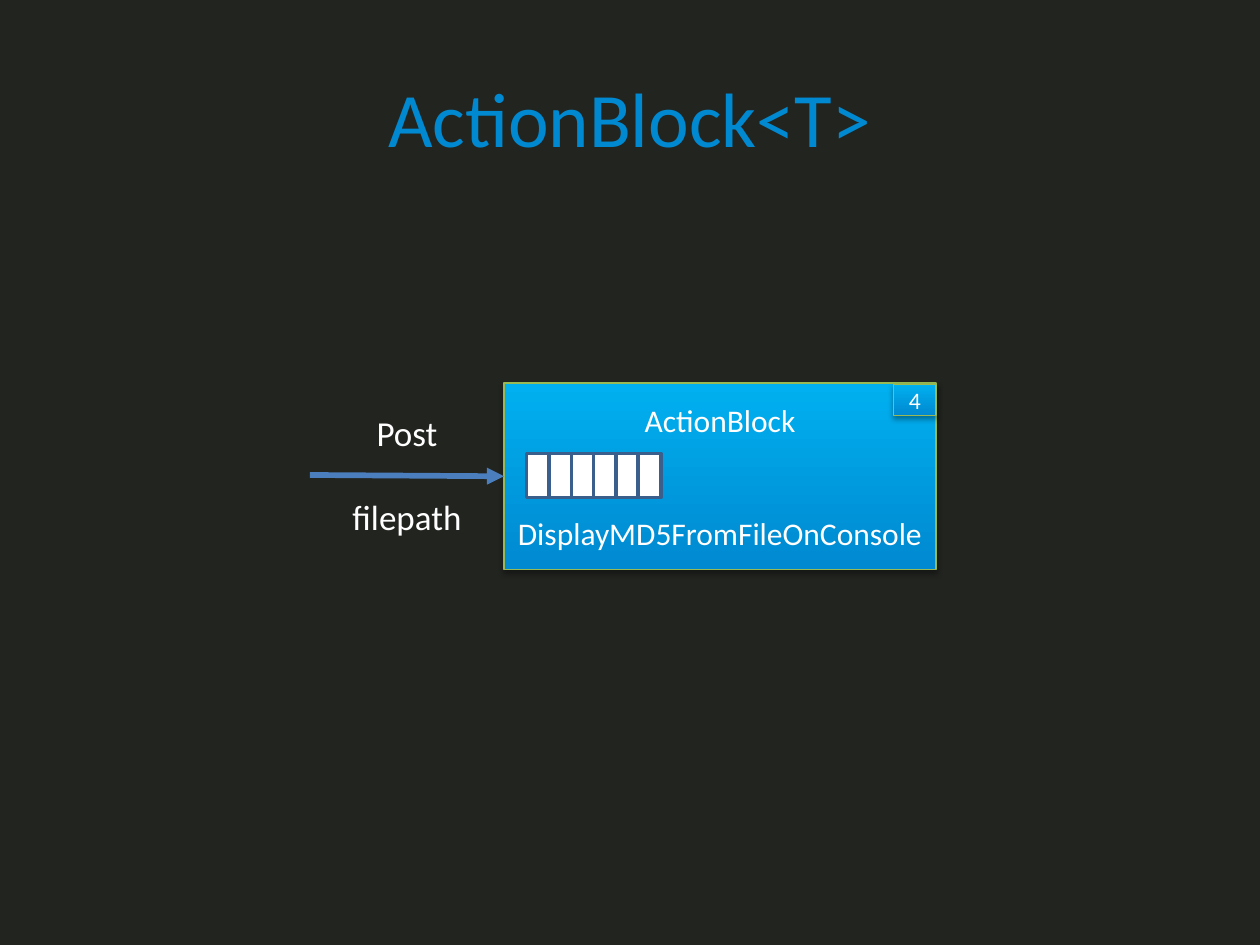
from lxml import etree
from pptx import Presentation
from pptx.dml.color import RGBColor
from pptx.enum.shapes import MSO_CONNECTOR, MSO_SHAPE
from pptx.enum.text import MSO_ANCHOR, PP_ALIGN
from pptx.oxml.ns import qn
from pptx.util import Inches, Pt

RECT = MSO_SHAPE.RECTANGLE
STRAIGHT = MSO_CONNECTOR.STRAIGHT
MIDDLE, CENTER = MSO_ANCHOR.MIDDLE, PP_ALIGN.CENTER

TITLE = "ActionBlock<T>"
BLOCK_LINES = ["ActionBlock", "DisplayMD5FromFileOnConsole"]
MESSAGE_LINES = ["Post", "filepath"]
PARALLELISM = "4"
QUEUE_SLOTS = 6

FONT = "Calibri"
BACKGROUND, WHITE = "222420", "FFFFFF"
BLUE, SKY, GREEN = "0089D0", "00B0F0", "98B955"
ARROW_BLUE, SLOT_EDGE = "4B7EBC", "3A5F8C"

WIDTH, HEIGHT = 10, 7.5
TITLE_BOX = (0.05 * WIDTH, 0.04 * HEIGHT, 0.9 * WIDTH, HEIGHT / 6)
BLOCK = (4, 3.04, 3.43, 1.48)
BADGE_WIDTH, BADGE_HEIGHT = 0.34, 0.25
BADGE = (BLOCK[0] + BLOCK[2] - BADGE_WIDTH, BLOCK[1] + 0.01, BADGE_WIDTH, BADGE_HEIGHT)
MESSAGE = (2.69, 3.22, 1.08, 1.11)
QUEUE_LEFT, QUEUE_TOP, SLOT_WIDTH, SLOT_HEIGHT = 4.18, 3.6, 0.18, 0.35
SLOT_STEP = 0.177
ARROW_START = (2.46, 3.77)


def color(value):
    return RGBColor.from_string(value)


def inches(lengths):
    return [Inches(length) for length in lengths]


def write(shape, lines, size, ink=WHITE, gap=0, wrap=True, anchor=MIDDLE):
    frame = shape.text_frame
    frame.word_wrap = wrap
    frame.vertical_anchor = anchor
    frame.margin_left = frame.margin_right = 0
    for index, line in enumerate(lines):
        paragraph = frame.paragraphs[0] if index == 0 else frame.add_paragraph()
        paragraph.alignment = CENTER
        paragraph.space_before = Pt(gap if index else 0)
        run = paragraph.add_run()
        run.text = line
        run.font.name = FONT
        run.font.size = Pt(size)
        run.font.color.rgb = color(ink)


def add_box(slide, place, edge, edge_width):
    box = slide.shapes.add_shape(RECT, *inches(place))
    box.shadow.inherit = False
    box.line.color.rgb = color(edge)
    box.line.width = Pt(edge_width)
    return box


def add_glossy_box(slide, place):
    box = add_box(slide, place, GREEN, 0.75)
    box.fill.gradient()
    box.fill.gradient_angle = 90
    for stop, shade in zip(box.fill.gradient_stops, (BLUE, SKY)):
        stop.color.rgb = color(shade)
    effects = box._element.spPr.find(qn("a:effectLst"))
    shadow = etree.SubElement(effects, qn("a:outerShdw"), blurRad=str(Pt(3.1)),
                              dist=str(Pt(1.8)), dir="5400000", rotWithShape="0")
    black = etree.SubElement(shadow, qn("a:srgbClr"), val="000000")
    etree.SubElement(black, qn("a:alpha"), val="35000")
    return box


def add_arrow(slide, start, end):
    arrow = slide.shapes.add_connector(STRAIGHT, *inches(start + end))
    arrow.line.color.rgb = color(ARROW_BLUE)
    arrow.line.width = Pt(3.25)
    etree.SubElement(arrow.line._get_or_add_ln(), qn("a:tailEnd"), type="triangle")
    etree.SubElement(arrow._element.spPr, qn("a:effectLst"))


def main():
    deck = Presentation()
    deck.slide_width, deck.slide_height = inches((WIDTH, HEIGHT))
    slide = deck.slides.add_slide(deck.slide_layouts[6])
    slide.background.fill.solid()
    slide.background.fill.fore_color.rgb = color(BACKGROUND)

    write(slide.shapes.add_textbox(*inches(TITLE_BOX)), [TITLE], size=44, ink=BLUE)
    write(add_glossy_box(slide, BLOCK), BLOCK_LINES, size=18, gap=43)
    add_arrow(slide, ARROW_START, (BLOCK[0], BLOCK[1] + BLOCK[3] / 2))
    write(slide.shapes.add_textbox(*inches(MESSAGE)), MESSAGE_LINES, size=20,
          gap=24, wrap=False, anchor=MSO_ANCHOR.TOP)

    for position in range(QUEUE_SLOTS):
        left = QUEUE_LEFT + position * SLOT_STEP
        slot = add_box(slide, (left, QUEUE_TOP, SLOT_WIDTH, SLOT_HEIGHT), SLOT_EDGE, 2)
        slot.fill.solid()
        slot.fill.fore_color.rgb = color(WHITE)

    write(add_glossy_box(slide, BADGE), [PARALLELISM], size=13.5)
    deck.save("out.pptx")


if __name__ == "__main__":
    main()
